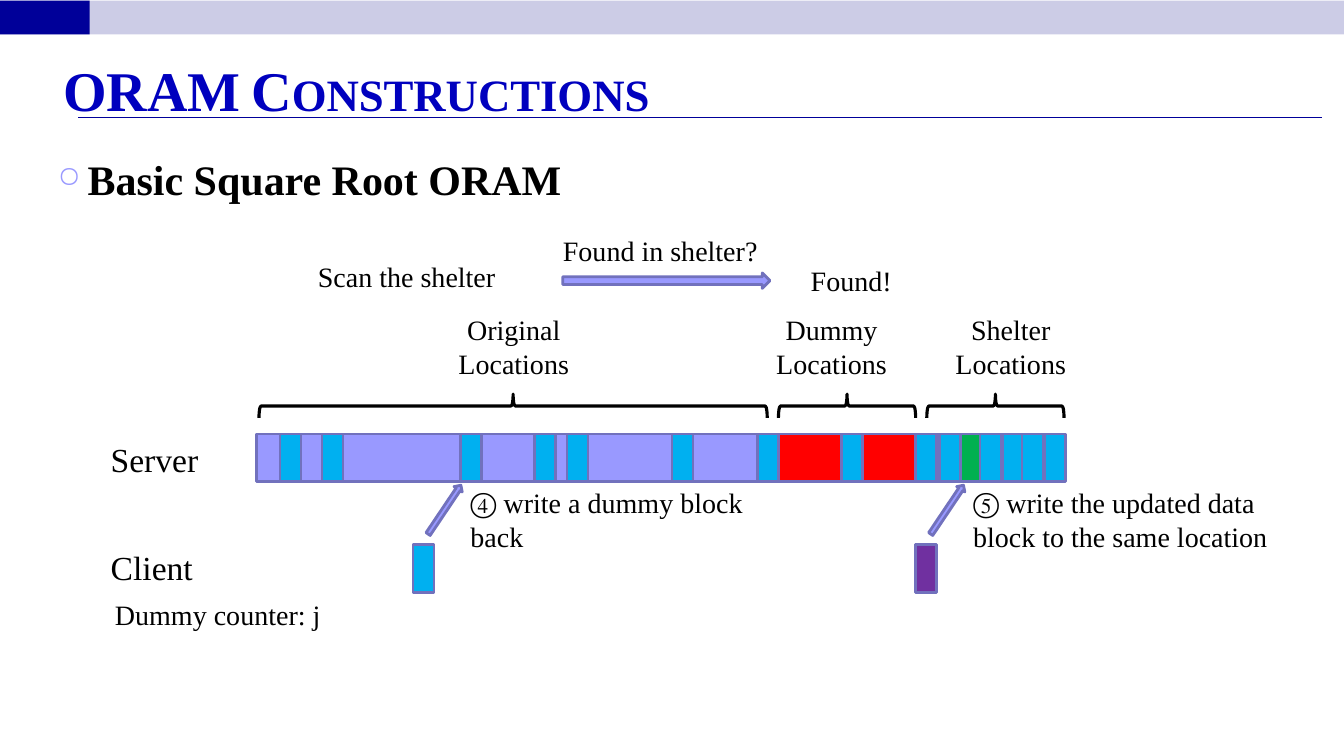
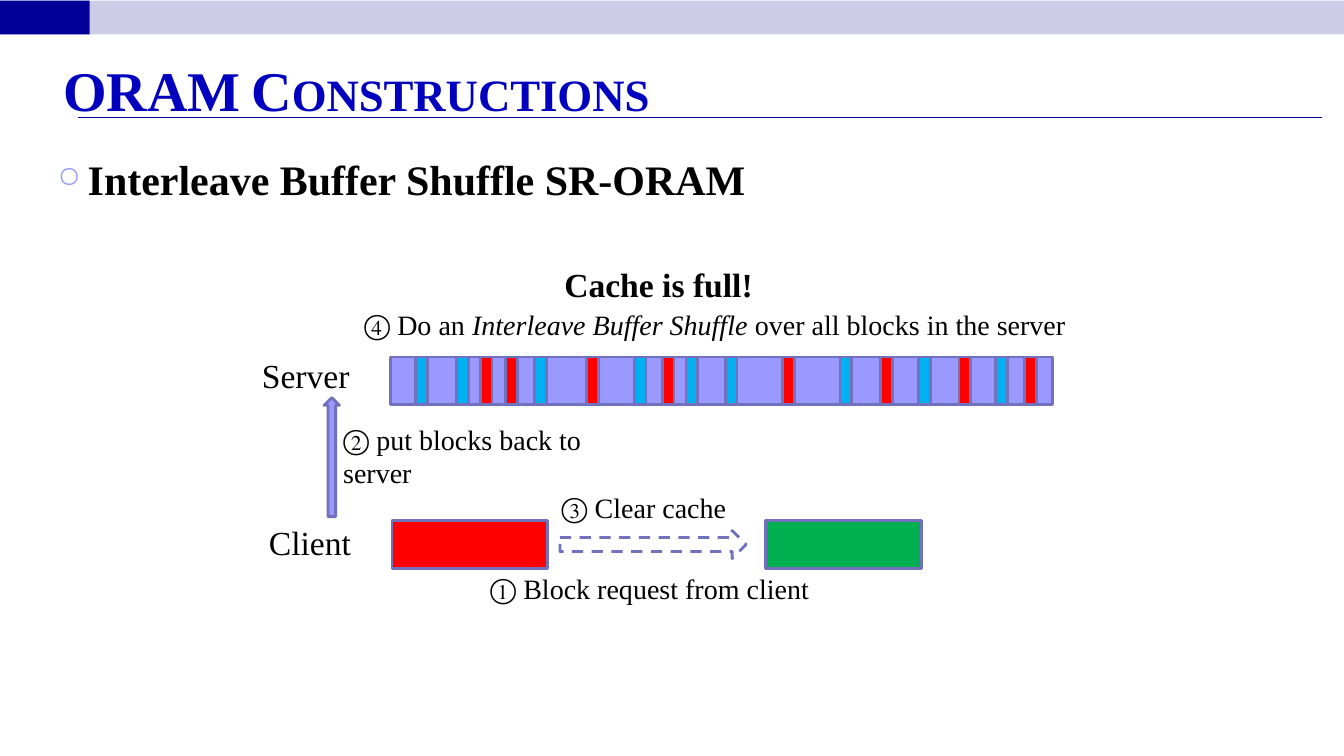
from lxml.etree import SubElement
from pptx import Presentation
from pptx.dml.color import RGBColor
from pptx.enum.dml import MSO_LINE
from pptx.enum.shapes import MSO_CONNECTOR, MSO_SHAPE
from pptx.enum.text import MSO_ANCHOR, PP_ALIGN
from pptx.oxml.ns import qn
from pptx.util import Pt

FONT = "Times New Roman"
BLACK = "000000"
WHITE = "FFFFFF"
NAVY = "000099"
ROYAL = "0000BE"
MIST = "CCCCE6"
LILAC = "9999FF"
EDGE = "7171BD"
CYAN = "00B0F0"
RED = "FF0000"
GREEN = "00B050"
PURPLE = "7030A0"
BLOCK = 34


def color(code):
    return RGBColor.from_string(code)


def add_text(slide, text, left, top, width, height, size=20, ink=BLACK, bold=False,
             wrap=False, align=PP_ALIGN.LEFT, anchor=MSO_ANCHOR.TOP, caps=False):
    box = slide.shapes.add_textbox(Pt(left), Pt(top), Pt(width), Pt(height))
    frame = box.text_frame
    frame.word_wrap = wrap
    frame.vertical_anchor = anchor
    para = frame.paragraphs[0]
    para.alignment = align
    for index, part in enumerate(text.split("*")):
        run = para.add_run()
        run.text = part
        font = run.font
        font.name = FONT
        font.size = Pt(size)
        font.bold = bold
        font.italic = index % 2 == 1
        font.color.rgb = color(ink)
        if caps:
            run._r.get_or_add_rPr().set("cap", "small")
    return para


def add_shape(slide, left, top, width, height, fill=LILAC, kind=MSO_SHAPE.RECTANGLE,
              edge=EDGE, weight=2, turn=0):
    shape = slide.shapes.add_shape(kind, Pt(left), Pt(top), Pt(width), Pt(height))
    shape.shadow.inherit = False
    shape.rotation = turn
    if fill:
        shape.fill.solid()
        shape.fill.fore_color.rgb = color(fill)
    else:
        shape.fill.background()
    if edge:
        shape.line.color.rgb = color(edge)
        shape.line.width = Pt(weight)
    else:
        shape.line.fill.background()
    return shape


def add_slots(slide, lefts, top, width, fill):
    for left in lefts:
        add_shape(slide, left, top, width, BLOCK, fill)


def add_brace(slide, left, top, span, depth):
    shift = (span - depth) / 2
    add_shape(slide, left + shift, top - shift, depth, span, None,
              MSO_SHAPE.LEFT_BRACE, BLACK, 2.25, 90)


def add_rule(slide, left, right, top):
    rule = slide.shapes.add_connector(MSO_CONNECTOR.STRAIGHT,
                                      Pt(left), Pt(top), Pt(right), Pt(top))
    rule.line.color.rgb = color(NAVY)
    rule.line.width = Pt(0.75)
    SubElement(rule._element.spPr, qn("a:effectLst"))


def add_bullet(para):
    para.space_before = Pt(6)
    props = para._p.get_or_add_pPr()
    props.set("marL", str(Pt(21.6)))
    props.set("indent", str(-Pt(21.6)))
    tint = SubElement(props, qn("a:buClr"))
    SubElement(tint, qn("a:srgbClr")).set("val", LILAC)
    SubElement(props, qn("a:buSzPct")).set("val", "70000")
    SubElement(props, qn("a:buChar")).set("char", "○")


def add_slide(deck, topic):
    slide = deck.slides.add_slide(deck.slide_layouts[6])
    add_shape(slide, 0, 0.5, 960, 24, MIST, edge=None)
    add_shape(slide, 0, 0.5, 64, 24, NAVY, edge=None)
    add_rule(slide, 56, 944, 84)
    add_text(slide, "ORAM Constructions", 38, 38, 882, 53, size=40, ink=ROYAL,
             bold=True, wrap=True, anchor=MSO_ANCHOR.BOTTOM, caps=True)
    add_bullet(add_text(slide, topic, 34, 106, 862, 394, size=30, bold=True, wrap=True))
    return slide


def draw_basic(deck):
    slide = add_slide(deck, "Basic Square Root ORAM")
    add_text(slide, "Scan the shelter", 220, 182, 142, 32)
    add_text(slide, "Found in shelter?", 395, 163, 155, 32)
    add_text(slide, "Found!", 572, 185, 73, 32)
    add_shape(slide, 402, 195, 148, 11, kind=MSO_SHAPE.RIGHT_ARROW)

    top = 310
    for left, width, fill in ((183, 365, LILAC), (548, 106, RED), (654, 106, GREEN)):
        add_shape(slide, left, top, width, BLOCK, fill)
    add_slots(slide, (200, 230, 329, 382, 405, 480, 541, 601,
                      654, 671, 700, 716, 730, 746), top, 15, CYAN)

    for name, label, left, span in (("Original", 299, 185, 363),
                                    ("Dummy", 526, 556, 98),
                                    ("Shelter", 654, 662, 98)):
        add_text(slide, f"{name} Locations", label, 220, 136, 55,
                 wrap=True, align=PP_ALIGN.CENTER)
        add_brace(slide, left, 281.5, span, 17)

    for left, fill, width, note in (
            (295, CYAN, 219, "④ write a dummy block back"),
            (654, PURPLE, 242, "⑤ write the updated data block to the same location")):
        add_shape(slide, left, 389, 15, BLOCK, fill)
        add_shape(slide, left + 19, 343, 7, 42, kind=MSO_SHAPE.DOWN_ARROW, turn=213.9)
        add_text(slide, note, left + 34, 343.5, width, 55, wrap=True)

    add_text(slide, "Server", 72, 310, 78, 36, size=24)
    add_text(slide, "Client", 72, 387, 73, 36, size=24)
    add_text(slide, "Dummy counter: j", 75, 423, 162, 32)


def draw_shuffle(deck):
    slide = add_slide(deck, "Interleave Buffer Shuffle SR-ORAM")
    add_text(slide, "Cache is full!", 396, 185, 150, 36, size=24, bold=True)
    add_text(slide, "④ Do an *Interleave Buffer Shuffle *over all blocks in the server",
             253, 216, 695, 32, wrap=True)

    top = 255
    add_shape(slide, 279, top, 473, BLOCK)
    add_slots(slide, (297, 326, 382, 453, 490, 518, 600, 656, 711), top, 8.5, CYAN)
    add_slots(slide, (343, 361, 419, 473, 559, 629, 685, 732), top, 8.5, RED)

    add_shape(slide, 280, 372, 111, BLOCK, RED)
    add_shape(slide, 547, 372, 111, BLOCK, GREEN)
    arrow = add_shape(slide, 400, 379, 133, 20, WHITE, MSO_SHAPE.RIGHT_ARROW)
    arrow.line.dash_style = MSO_LINE.DASH
    add_shape(slide, 231.5, 284, 11, 85, kind=MSO_SHAPE.UP_ARROW)

    add_text(slide, "① Block request from client", 343, 405, 245, 32)
    add_text(slide, "② put blocks back to server", 238, 298, 218, 55, wrap=True)
    add_text(slide, "③ Clear cache", 394, 347, 135, 32)
    add_text(slide, "Server", 180, 250, 78, 36, size=24)
    add_text(slide, "Client", 185, 369, 73, 36, size=24)


def main():
    deck = Presentation()
    deck.slide_width = Pt(960)
    deck.slide_height = Pt(540)
    draw_basic(deck)
    draw_shuffle(deck)
    deck.save("out.pptx")


if __name__ == "__main__":
    main()
